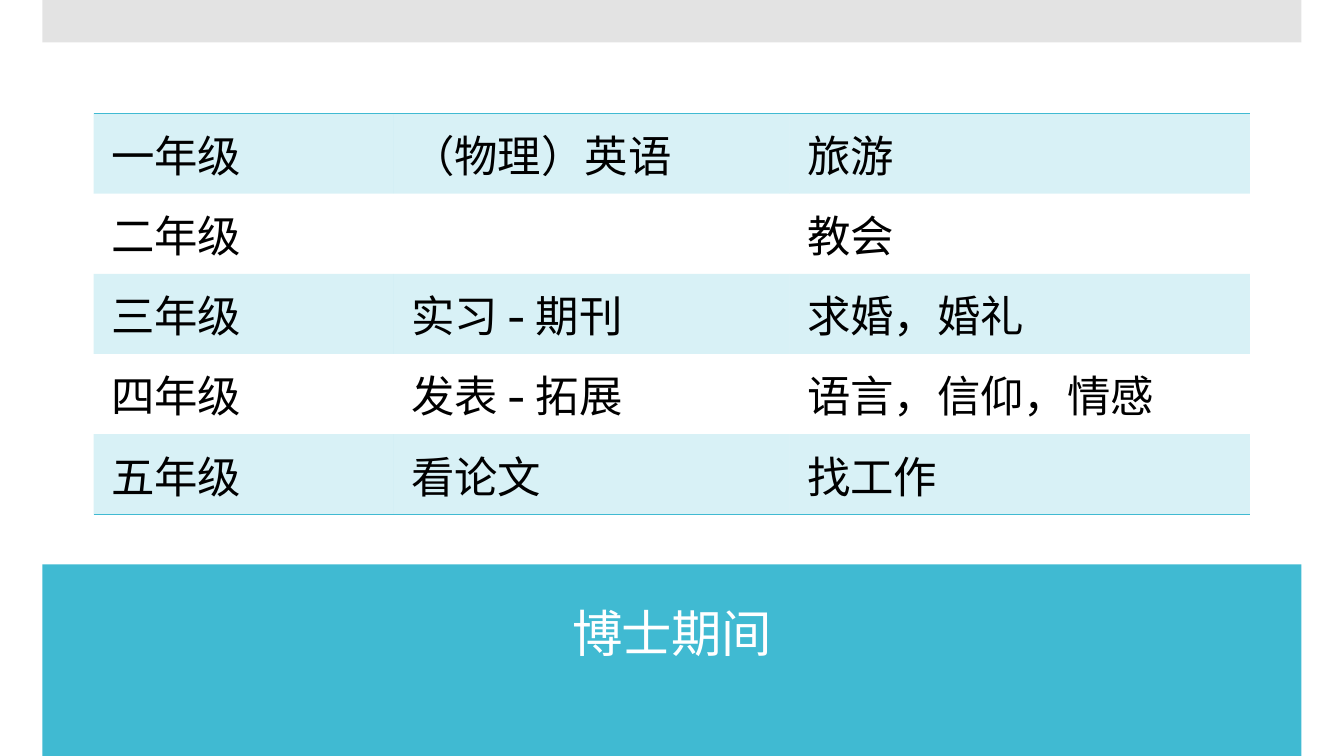
import dataclasses

import pptx
import pptx.dml.color
import pptx.enum.shapes
import pptx.enum.text
import pptx.oxml
import pptx.oxml.ns
import pptx.util

Cm = pptx.util.Cm
Pt = pptx.util.Pt
RGB = pptx.dml.color.RGBColor.from_string
qn = pptx.oxml.ns.qn
PLAIN_TABLE_STYLE = "{2D5ABB26-0587-4C30-8999-92F81FD0307C}"


@dataclasses.dataclass(frozen=True)
class Theme:
    font: str = "Cabin"
    teal: str = "40BAD2"
    grey: str = "C8C8C8"
    ink: str = "000000"
    white: str = "FFFFFF"
    title_size: float = 36
    table_size: float = 31


THEME = Theme()

YEARS = [
    ("一年级", "（物理）英语", "旅游"),
    ("二年级", "", "教会"),
    ("三年级", "实习 - 期刊", "求婚，婚礼"),
    ("四年级", "发表 - 拓展", "语言，信仰，情感"),
    ("五年级", "看论文", "找工作"),
]


def write(frame, text, size, color=THEME.ink, align=None, leading=None, tracking=None):
    """Put one formatted paragraph into a text frame."""
    paragraph = frame.paragraphs[0]
    paragraph.alignment = align
    paragraph.line_spacing = leading
    run = paragraph.add_run()
    run.text = text
    run.font.name = THEME.font
    run.font.size = Pt(size)
    run.font.color.rgb = RGB(color)
    if tracking is not None:
        run.font._element.set("spc", str(round(tracking * 100)))


def paint(fill, color, opacity=100):
    """Solid fill, optionally see-through."""
    fill.solid()
    fill.fore_color.rgb = RGB(color)
    if opacity < 100:
        rgb = fill._xPr.find(".//" + qn("a:srgbClr"))
        rgb.append(pptx.oxml.parse_xml(
            f'<a:alpha {pptx.oxml.ns.nsdecls("a")} val="{opacity * 1000}"/>'))


def rule_cell(cell, side, color):
    """One-point border on the side T or B of a cell."""
    cell._tc.get_or_add_tcPr().insert(0, pptx.oxml.parse_xml(
        f'<a:ln{side} {pptx.oxml.ns.nsdecls("a")} w="12700"><a:solidFill>'
        f'<a:srgbClr val="{color}"/></a:solidFill></a:ln{side}>'))


def add_band(slide, box, color, opacity=100):
    band = slide.shapes.add_shape(pptx.enum.shapes.MSO_SHAPE.RECTANGLE, *box)
    band.shadow.inherit = False
    band.line.fill.background()
    paint(band.fill, color, opacity)


def add_title_band(slide, box, text):
    left, top, width, height = box
    add_band(slide, box, THEME.teal)
    title = slide.shapes.title
    slide.shapes.element.append(title.element)  # bring in front of the band
    title.left, title.top = left + Cm(0.71), top + Cm(0.38)
    title.width, title.height = width - Cm(1.42), Cm(2.84)
    frame = title.text_frame
    frame.word_wrap = True
    frame.auto_size = pptx.enum.text.MSO_AUTO_SIZE.NONE
    frame.vertical_anchor = pptx.enum.text.MSO_ANCHOR.MIDDLE
    write(frame, text, THEME.title_size, color=THEME.white,
          align=pptx.enum.text.PP_ALIGN.CENTER, leading=0.9, tracking=-0.6)


def add_years_table(slide, box, years, column_shares):
    width = box[2]
    graphic = slide.shapes.add_table(len(years), len(column_shares), *box)
    table = graphic.table
    table.first_row = table.horz_banding = False
    table._tbl.tblPr.find(qn("a:tableStyleId")).text = PLAIN_TABLE_STYLE
    for column, share in zip(table.columns, column_shares):
        column.width = round(width * share / sum(column_shares))

    for row, entries in enumerate(years):
        for col, entry in enumerate(entries):
            cell = table.cell(row, col)
            cell.margin_left = cell.margin_right = Cm(0.44)
            cell.margin_top = cell.margin_bottom = Cm(0.22)
            if entry:
                write(cell.text_frame, entry, THEME.table_size)
            # Every other year is tinted
            if row % 2 == 0:
                paint(cell.fill, THEME.teal, 20)
            else:
                cell.fill.background()
            # Rules close the table above and below
            if row == 0:
                rule_cell(cell, "T", THEME.teal)
            if row == len(years) - 1:
                rule_cell(cell, "B", THEME.teal)


def build_phd_slide(deck):
    slide = deck.slides.add_slide(deck.slide_layouts[5])
    margin = Cm(1.07)
    band_width = deck.slide_width - 2 * margin
    title_top = Cm(14.22)
    # Title band at the foot, grey strip at the head
    add_title_band(slide, (margin, title_top, band_width, deck.slide_height - title_top),
                   "博士期间")
    add_band(slide, (margin, 0, band_width, margin), THEME.grey, 50)
    # What each year was about
    add_years_table(slide, (Cm(2.36), Cm(2.86), Cm(29.14), Cm(9.55)), YEARS,
                    (2.98, 3.93, 4.57))


deck = pptx.Presentation()
deck.slide_width, deck.slide_height = Cm(33.87), Cm(19.05)
build_phd_slide(deck)
deck.save("out.pptx")
